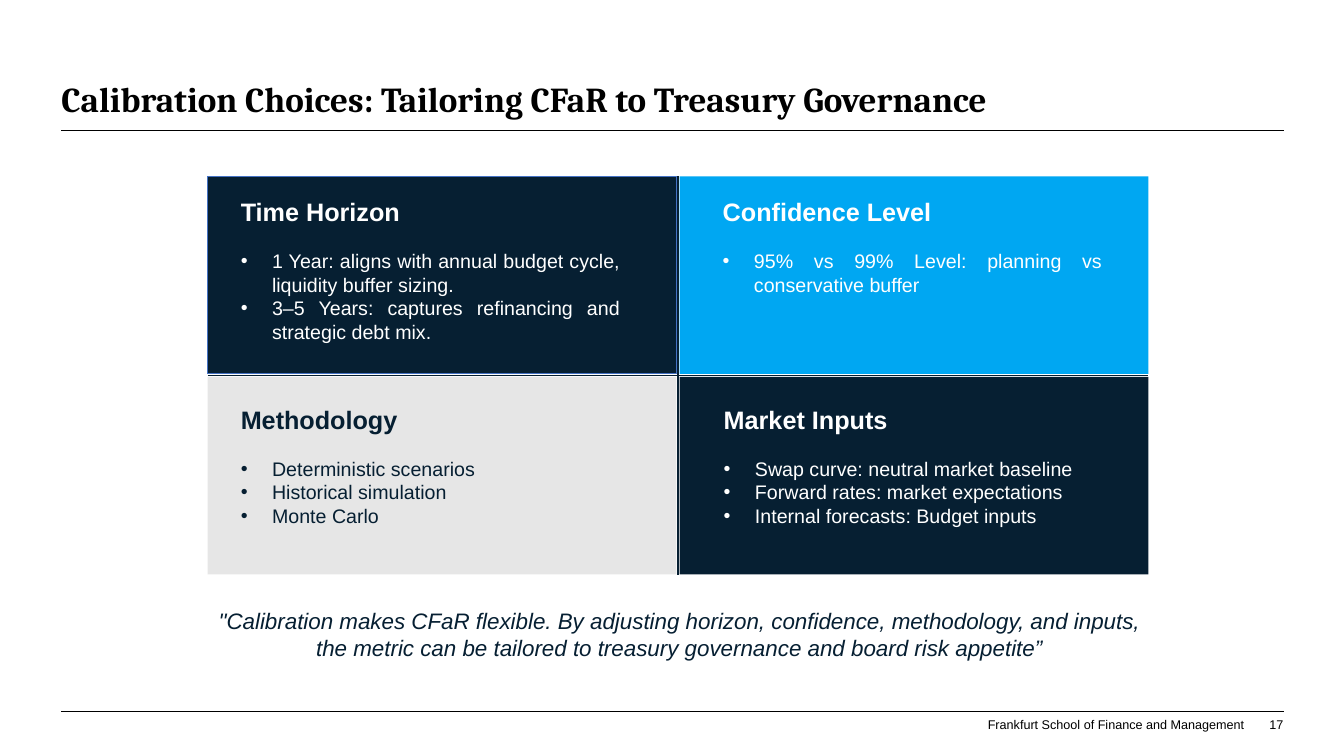
from lxml.etree import SubElement
from pptx import Presentation
from pptx.dml.color import RGBColor
from pptx.enum.shapes import MSO_CONNECTOR, MSO_SHAPE
from pptx.enum.text import MSO_ANCHOR, MSO_AUTO_SIZE, PP_ALIGN
from pptx.oxml.ns import qn
from pptx.util import Inches, Pt

BLACK = RGBColor(0x00, 0x00, 0x00)
WHITE = RGBColor(0xFF, 0xFF, 0xFF)
NAVY = RGBColor(0x06, 0x1F, 0x32)
SKY = RGBColor(0x00, 0xA7, 0xF2)
GREY = RGBColor(0xE6, 0xE6, 0xE6)
EDGE_BLUE = RGBColor(0x44, 0x72, 0xC4)

# Page margins and the two-by-two grid
LEFT, RIGHT = 0.61, 12.73
GRID_LEFT, GRID_TOP = 2.06, 1.75
TILE_WIDTH, TILE_HEIGHT, GAP = 4.65, 1.96, 0.03
GRID_RIGHT = GRID_LEFT + 2 * TILE_WIDTH + GAP
GRID_BOTTOM = GRID_TOP + 2 * TILE_HEIGHT + GAP
TEXT_LEFTS = {(0, 0): 2.29, (0, 1): 7.07, (1, 0): 2.29, (1, 1): 7.08}
TEXT_TOPS = (1.9, 3.96)
TEXT_WIDTH = 3.96

# Row, column, fill, edge, text colour, heading, points
TILES = [
    (1, 0, GREY, None, NAVY, "Methodology",
     ["Deterministic scenarios", "Historical simulation", "Monte Carlo"]),
    (0, 0, NAVY, EDGE_BLUE, WHITE, "Time Horizon",
     ["1 Year: aligns with annual budget cycle, liquidity buffer sizing.",
      "3–5 Years: captures refinancing and strategic debt mix."]),
    (1, 1, NAVY, None, WHITE, "Market Inputs",
     ["Swap curve: neutral market baseline",
      "Forward rates: market expectations",
      "Internal forecasts: Budget inputs"]),
    (0, 1, SKY, None, WHITE, "Confidence Level",
     ["95% vs 99% Level: planning vs conservative buffer"]),
]


def style(para, size, color, align, name="Arial", bold=False, italic=False):
    para.alignment = align
    font = para.font
    font.name, font.size, font.bold, font.italic = name, Pt(size), bold, italic
    font.color.rgb = color


def clear_margins(frame):
    frame.margin_left = frame.margin_right = 0
    frame.margin_top = frame.margin_bottom = 0


def add_bullet(para):
    props = para._p.get_or_add_pPr()
    props.set("marL", str(Inches(0.31)))
    props.set("indent", str(-Inches(0.31)))
    SubElement(props, qn("a:buFont"), typeface="Arial")
    SubElement(props, qn("a:buChar"), char="•")


def add_line(page, x1, y1, x2, y2, color, width):
    line = page.shapes.add_connector(
        MSO_CONNECTOR.STRAIGHT, Inches(x1), Inches(y1), Inches(x2), Inches(y2))
    line.line.color.rgb = color
    line.line.width = Pt(width)
    SubElement(line._element.spPr, qn("a:effectLst"))


def add_text_box(page, left, top, width, height):
    box = page.shapes.add_textbox(
        Inches(left), Inches(top), Inches(width), Inches(height))
    box.text_frame.word_wrap = True
    return box.text_frame


def add_label(page, left, top, width, height, text, size, color, align,
              italic=False):
    frame = add_text_box(page, left, top, width, height)
    clear_margins(frame)
    para = frame.paragraphs[0]
    para.text = text
    style(para, size, color, align, italic=italic)
    return frame


def set_title(page, text):
    title = page.shapes.title
    title.left, title.top = Inches(LEFT), Inches(0.39)
    title.width, title.height = Inches(RIGHT - LEFT), Inches(0.8)
    frame = title.text_frame
    frame.text = text
    frame.auto_size = MSO_AUTO_SIZE.NONE
    frame.vertical_anchor = MSO_ANCHOR.BOTTOM
    clear_margins(frame)
    style(frame.paragraphs[0], 25, BLACK, PP_ALIGN.LEFT, "Cambria", bold=True)


def add_tile(page, row, column, fill, edge):
    tile = page.shapes.add_shape(
        MSO_SHAPE.RECTANGLE,
        Inches(GRID_LEFT + column * (TILE_WIDTH + GAP)),
        Inches(GRID_TOP + row * (TILE_HEIGHT + GAP)),
        Inches(TILE_WIDTH), Inches(TILE_HEIGHT))
    tile.shadow.inherit = False
    tile.fill.solid()
    tile.fill.fore_color.rgb = fill
    if edge is None:
        tile.line.fill.background()
    else:
        tile.line.color.rgb = edge
        tile.line.width = Pt(0.85)


def add_tile_text(page, row, column, color, heading, points):
    frame = add_text_box(page, TEXT_LEFTS[row, column], TEXT_TOPS[row],
                         TEXT_WIDTH, 1.35)
    para = frame.paragraphs[0]
    para.text = heading
    para.space_after = Pt(16)
    style(para, 18, color, PP_ALIGN.JUSTIFY, bold=True)
    for point in points:
        para = frame.add_paragraph()
        para.text = point
        add_bullet(para)
        style(para, 14, color, PP_ALIGN.JUSTIFY)


def add_footer(page):
    add_line(page, LEFT, 7.06, RIGHT, 7.06, BLACK, 0.5)
    for left, width, text in [
            (9.34, 3, "Frankfurt School of Finance and Management"),
            (12.37, 0.36, "17")]:
        frame = add_label(page, left, 7.11, width, 0.15, text, 9, BLACK,
                          PP_ALIGN.RIGHT)
        frame.vertical_anchor = MSO_ANCHOR.BOTTOM


def main():
    deck = Presentation()
    deck.slide_width, deck.slide_height = Inches(13.33), Inches(7.5)
    page = deck.slides.add_slide(deck.slide_layouts[5])

    # Title and footer
    set_title(page, "Calibration Choices: Tailoring CFaR to Treasury Governance")
    add_line(page, LEFT, 1.29, RIGHT, 1.29, BLACK, 0.5)
    add_footer(page)

    # Tiles, then the dividers between them, then their text
    for row, column, fill, edge, *_ in TILES:
        add_tile(page, row, column, fill, edge)
    middle_x = GRID_LEFT + TILE_WIDTH + GAP / 2
    middle_y = GRID_TOP + TILE_HEIGHT + GAP / 2
    add_line(page, GRID_LEFT, middle_y, GRID_RIGHT, middle_y, NAVY, 1)
    add_line(page, middle_x, GRID_TOP, middle_x, GRID_BOTTOM, NAVY, 1)
    for row, column, _, _, color, heading, points in TILES:
        add_tile_text(page, row, column, color, heading, points)

    # Closing statement
    frame = add_label(
        page, 2.11, 6.02, 9.26, 0.54,
        '"Calibration makes CFaR flexible. By adjusting horizon, confidence, '
        "methodology, and inputs, the metric can be tailored to treasury "
        "governance and board risk appetite”",
        16, NAVY, PP_ALIGN.CENTER, italic=True)
    frame.paragraphs[0].space_after = Pt(3)

    deck.save("out.pptx")


if __name__ == "__main__":
    main()
